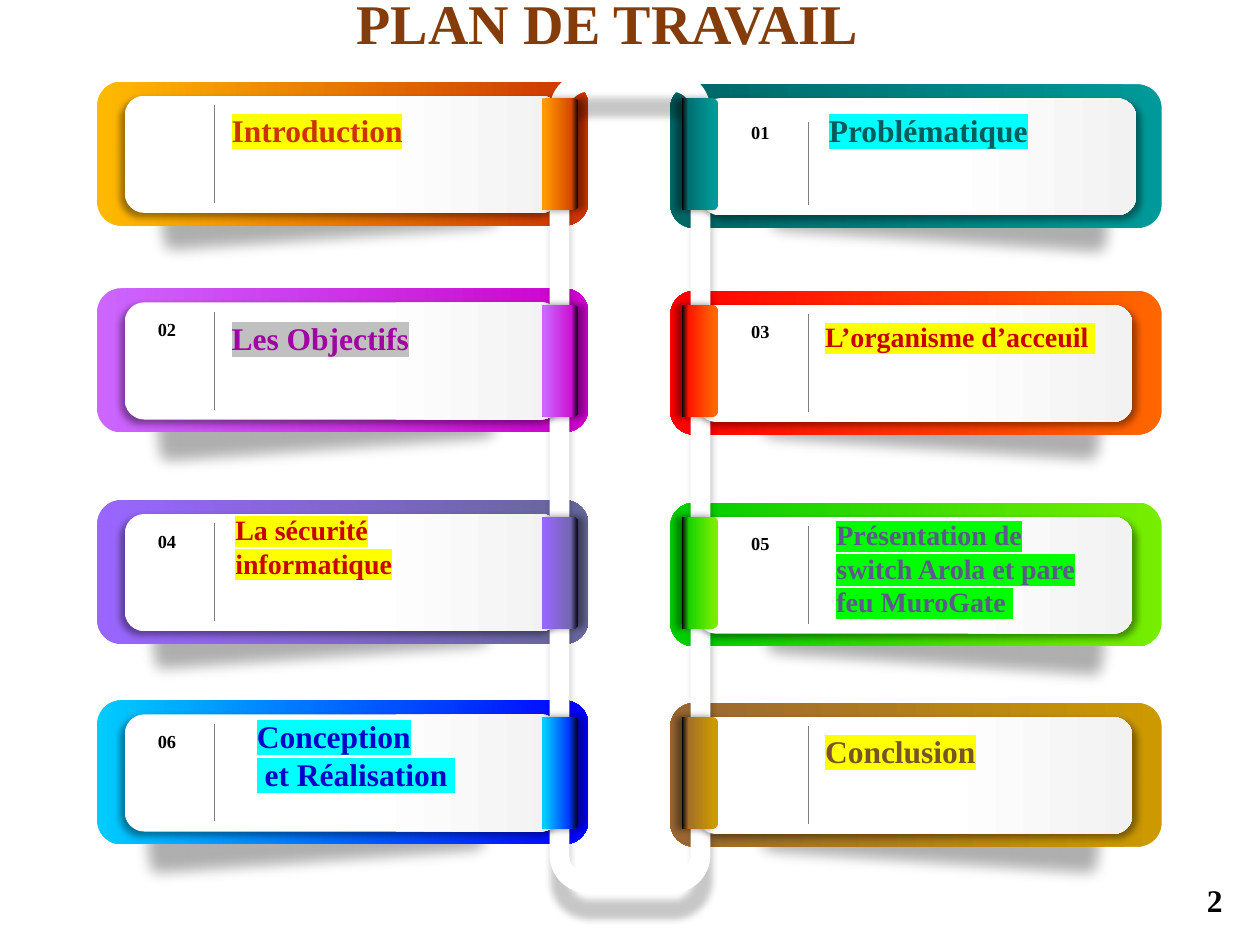
from dataclasses import dataclass

from lxml import etree
from pptx import Presentation
from pptx import util as u
from pptx.dml.color import RGBColor
from pptx.enum import shapes, text
from pptx.oxml import ns

WIDTH, HEIGHT = u.Inches(10), u.Inches(7.5)
COLUMNS, ROWS = 100, 75
FONT = "Times New Roman"
COLORS = {
    "white": "FFFFFF", "pale": "F2F2F2", "black": "000000", "rule": "808080",
    "heading": "843C0B", "yellow": "FFFF00", "cyan": "00FFFF",
    "silver": "C0C0C0", "lime": "00FF00", "brick": "CC3300",
    "teal": "005B5B", "purple": "A102A2", "red": "C90200",
    "slate": "5B5A8A", "blue": "0005C9", "brown": "7A5228",
}
LEFT = {"panel": 7.7, "drop": 0, "card": 9.9, "rule": 17, "number": 10.9,
        "tab": 40, "angle": 0, "tab_angle": 270, "first": 7,
        "card_shadow": 135, "tab_shadow": 0, "tilt": -4.1}
RIGHT = {"panel": 53.2, "drop": 0.2, "card": 55.3, "rule": 64.2, "number": 58,
         "tab": 51.1, "angle": 180, "tab_angle": 90, "first": 10,
         "card_shadow": 45, "tab_shadow": 180, "tilt": 3.9}


@dataclass
class Item:
    """One entry of the work plan."""
    side: dict
    row: float
    number: str
    lines: tuple
    size: int
    ink: str
    marker: str
    box: tuple
    panel: tuple
    tab: tuple
    shade: tuple
    lower: float = 0
    shift: float = 0


ITEMS = [
    Item(LEFT, 6.5, "", ("Introduction",), 18, "brick", "yellow", (17.4, 8.3, 23.2, 4),
         ("FFBA00", "CC3300"), ("FF9900", 81, "D64700"), (10.9, 13.3)),
    Item(RIGHT, 6.5, "01", ("Problématique",), 18, "teal", "cyan", (64.8, 8.3, 21.6, 4),
         ("009999", "006666"), ("009999", 81, "007171"), (59.3, 13.5), 1.1, 0.3),
    Item(LEFT, 22.9, "02", ("Les Objectifs",), 18, "purple", "silver", (17.4, 24.8, 21, 4),
         ("CC66FF", "CC00CC"), ("CC66FF", 81, "CC11D4"), (10.6, 30)),
    Item(RIGHT, 22.9, "03", ("L’organisme d’acceuil ",), 16, "red", "yellow",
         (64.5, 24.9, 24.6, 3.7),
         ("FF6600", "FF0000"), ("FF6600", 81, "FF1500"), (58.7, 30)),
    Item(LEFT, 39.7, "04", ("La sécurité informatique",), 16, "red", "yellow",
         (17.7, 40.2, 16, 6.4),
         ("9966FF", "666699"), ("9966FF", 79, "7266B0"), (10.2, 46.5)),
    Item(RIGHT, 39.7, "05", ("Présentation de switch Arola et pare feu MuroGate ",), 16,
         "slate", "lime", (65.4, 40.6, 21, 9.1),
         ("77EE00", "00CC00"), ("77EE00", 80, "19D300"), (59, 47.1)),
    Item(LEFT, 55.6, "06", ("Conception", " et Réalisation "), 18, "blue", "cyan",
         (19.4, 56.4, 25.4, 7.1),
         ("00CCFF", "0000FF"), ("00CCFF", 75, "0036FF"), (9.8, 62.7)),
    Item(RIGHT, 55.6, "", ("Conclusion",), 18, "brown", "yellow", (64.5, 57.6, 21, 4),
         ("CC9900", "996633"), ("CC9900", 81, "A47128"), (58.6, 62.8)),
]


def grid(left, top, width, height):
    """Turn columns and rows into slide lengths."""
    return (int(WIDTH * left / COLUMNS), int(HEIGHT * top / ROWS),
            int(WIDTH * width / COLUMNS), int(HEIGHT * height / ROWS))


def child(parent, tag, **attributes):
    """Append a drawing element with attributes."""
    element = etree.SubElement(parent, ns.qn(tag))
    for name, value in attributes.items():
        element.set(name, str(value))
    return element


def add_preset(parent, kind, cells, rotation=0):
    """Add a preset shape without line or effects."""
    shape = parent.add_shape(kind, *grid(*cells))
    shape.rotation = rotation
    shape.line.fill.background()
    shape.shadow.inherit = False
    return shape


def set_gradient(shape, stops, angle):
    """Fill a shape with a linear gradient, angle clockwise."""
    shape.fill.gradient()
    shape.fill.gradient_angle = (360 - angle) % 360
    stop_list = shape._element.spPr.find(".//" + ns.qn("a:gsLst"))
    for old in list(stop_list):
        stop_list.remove(old)
    for position, color in stops:
        child(child(stop_list, "a:gs", pos=position * 1000), "a:srgbClr", val=color)


def set_shadow(shape, opacity, blur, distance, direction):
    """Give a shape an outer black shadow."""
    effects = shape._element.spPr.find(ns.qn("a:effectLst"))
    shadow = child(effects, "a:outerShdw", blurRad=u.Pt(blur), dist=u.Pt(distance),
                   dir=direction * 60000, algn="ctr", rotWithShape=0)
    color = child(shadow, "a:srgbClr", val=COLORS["black"])
    child(color, "a:alpha", val=opacity * 1000)


def add_text(parent, cells, lines, size, ink, marker=None, align="LEFT", wrap=True):
    """Add a bold text box, highlighted when a marker is named."""
    frame = parent.add_textbox(*grid(*cells)).text_frame
    frame.word_wrap = wrap
    frame.auto_size = text.MSO_AUTO_SIZE.SHAPE_TO_FIT_TEXT
    formats = {"name": FONT, "size": u.Pt(size), "bold": True}
    for index, line in enumerate(lines):
        paragraph = frame.add_paragraph() if index else frame.paragraphs[0]
        paragraph.alignment = getattr(text.PP_ALIGN, align)
        run = paragraph.add_run()
        run.text = line
        for name, value in formats.items():
            setattr(run.font, name, value)
        run.font.color.rgb = RGBColor.from_string(COLORS[ink])
        if marker:
            properties = run._r.get_or_add_rPr()
            highlight = child(properties, "a:highlight")
            child(highlight, "a:srgbClr", val=COLORS[marker])
            properties.find(ns.qn("a:solidFill")).addnext(highlight)


def add_rule(parent, column, top, bottom):
    """Add a thin vertical rule."""
    x, start, _, length = grid(column, top, 0, bottom - top)
    rule = parent.add_connector(shapes.MSO_CONNECTOR.STRAIGHT, x, start, x, start + length)
    rule.line.color.rgb = RGBColor.from_string(COLORS["rule"])
    rule.line.width = u.Pt(0.5)
    child(rule._element.spPr, "a:effectLst")


def add_shade(parent, item):
    """Add the soft tilted shade below a panel."""
    shape = add_preset(parent, shapes.MSO_SHAPE.RECTANGLE, (*item.shade, 30.5, 7.6),
                       item.side["tilt"])
    shape.fill.solid()
    shape.fill.fore_color.rgb = RGBColor.from_string(COLORS["black"])
    properties = shape._element.spPr
    child(properties.find(".//" + ns.qn("a:srgbClr")), "a:alpha", val=32000)
    child(properties.find(ns.qn("a:effectLst")), "a:softEdge", rad=u.Pt(10))


def add_panel(parent, item):
    """Add the coloured panel behind a card."""
    side = item.side
    panel = add_preset(parent, shapes.MSO_SHAPE.ROUNDED_RECTANGLE,
                       (side["panel"], item.row + side["drop"], 39, 11.4))
    set_gradient(panel, zip((0, 100), item.panel), side["angle"])


def add_card(parent, item):
    """Add a grouped card with its rule, number and title."""
    side, top = item.side, item.row + item.side["drop"]
    group = parent.add_group_shape().shapes
    card = add_preset(group, shapes.MSO_SHAPE.ROUNDED_RECTANGLE,
                      (side["card"] + item.shift, top + 1.1, 34.6, 9.3))
    set_gradient(card, ((56, COLORS["white"]), (100, COLORS["pale"])), 0)
    set_shadow(card, 40, 4, 3, side["card_shadow"])
    add_rule(group, side["rule"], top + 1.85 + item.lower, top + 9.6)
    if item.number:
        add_text(group, (side["number"], top + 1.85 + item.lower / 2, 4.7, 2.8),
                 (item.number,), 10.5, "black", align="CENTER")
    add_text(group, item.box, item.lines, item.size, item.ink, item.marker)


def add_ring(parent):
    """Add the white ring that binds both columns."""
    ring = add_preset(parent, shapes.MSO_SHAPE.ROUNDED_RECTANGLE, (44.4, 6.5, 11.2, 63.6))
    ring.adjustments[0] = 0.2
    ring.fill.background()
    ring.line.color.rgb = RGBColor.from_string(COLORS["white"])
    ring.line.width = u.Pt(11.25)
    set_shadow(ring, 22, 4, 14, 90)


def add_tab(parent, item):
    """Add the loop that holds a panel on the ring."""
    side = item.side
    start, position, middle = item.tab
    tab = add_preset(parent, shapes.MSO_SHAPE.ROUND_2_SAME_RECTANGLE,
                     (side["tab"], item.row + 4.3, 8.9, 2.9), 90)
    stops = ((side["first"], start), (position, middle), (100, COLORS["black"]))
    set_gradient(tab, stops, side["tab_angle"])
    set_shadow(tab, 40, 4, 3, side["tab_shadow"])


def main():
    """Build the work plan slide."""
    presentation = Presentation()
    presentation.slide_width, presentation.slide_height = WIDTH, HEIGHT
    slide = presentation.slides.add_slide(presentation.slide_layouts[6])
    parent = slide.shapes
    for add_layer in (add_shade, add_panel):
        for item in ITEMS:
            add_layer(parent, item)
    add_card(parent, ITEMS[0])
    add_ring(parent)
    for item in ITEMS[1:]:
        add_card(parent, item)
    for item in ITEMS:
        add_tab(parent, item)
    add_text(parent, (94.8, 69.4, 4, 4), ("2",), 18, "black")
    add_text(parent, (27.1, -1.4, 43.1, 6.4), ("PLAN DE TRAVAIL ",), 32, "heading",
             align="CENTER", wrap=False)
    presentation.save("out.pptx")


if __name__ == "__main__":
    main()
